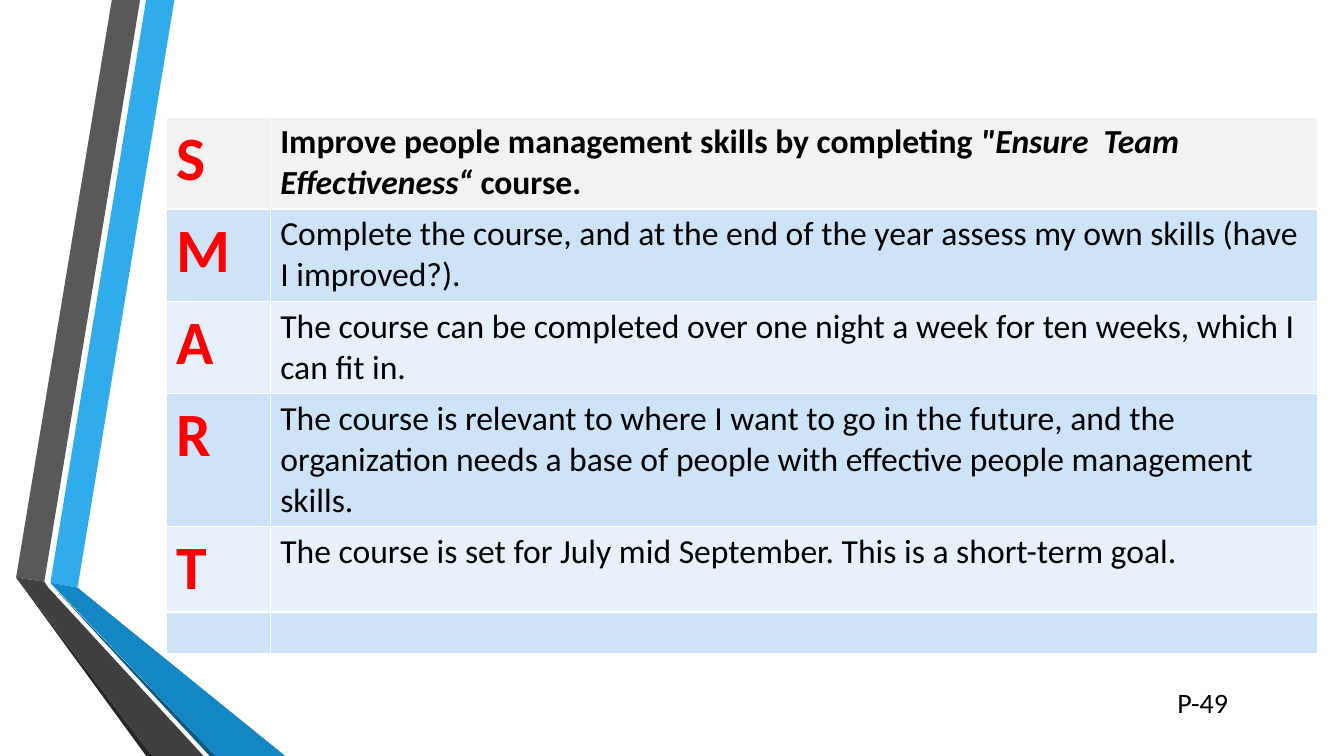
import pptx
import pptx.util
import pptx.dml.color
from dataclasses import dataclass

Inches = pptx.util.Inches


@dataclass(frozen=True)
class Theme:
    font: str = "Calibri"
    ink: str = "000000"
    mark: str = "FF0000"
    head: str = "F2F2F2"
    bands: tuple = ("CDE3F8", "E8F1FB")
    big: int = 44
    body: int = 24
    small: int = 20
    sky: str = "30ACEC"
    blue: str = "1287C3"
    navy: str = "0C5A82"
    gray: str = "595959"
    dark: str = "404040"
    black: str = "262626"


def paint(fill, color):
    fill.solid()
    fill.fore_color.rgb = pptx.dml.color.RGBColor.from_string(color)


def write(par, text, *, font, size, color, bold=False, italic=False):
    run = par.add_run()
    run.text = text
    run.font.name = font
    run.font.size = pptx.util.Pt(size)
    run.font.bold = bold
    run.font.italic = italic
    run.font.color.rgb = pptx.dml.color.RGBColor.from_string(color)


class Maker:
    def __init__(self, slide, theme):
        self.slide = slide
        self.theme = theme

    def ribbon(self, color, points):
        spots = [(Inches(x), Inches(y)) for x, y in points]
        form = self.slide.shapes.build_freeform(*spots[0], scale=1.0)
        form.add_line_segments(spots[1:], close=True)
        shape = form.convert_to_shape()
        shape.shadow.inherit = False
        paint(shape.fill, color)
        shape.line.fill.background()

    def table(self, left, top, widths, rows):
        theme = self.theme
        frame = self.slide.shapes.add_table(
            len(rows), len(widths), Inches(left), Inches(top),
            Inches(sum(widths)), Inches(sum(row[0] for row in rows)))
        grid = frame.table
        for col, width in zip(grid.columns, widths):
            col.width = Inches(width)
        for i, (height, letter, parts) in enumerate(rows):
            grid.rows[i].height = Inches(height)
            for cell in grid.rows[i].cells:
                paint(cell.fill, theme.bands[(i - 1) % 2] if i else theme.head)
            if not letter:
                continue
            write(grid.cell(i, 0).text_frame.paragraphs[0], letter,
                  font=theme.font, size=theme.big, color=theme.mark, bold=True)
            for text, italic in parts:
                write(grid.cell(i, 1).text_frame.paragraphs[0], text,
                      font=theme.font, size=theme.body, color=theme.ink,
                      bold=i == 0, italic=italic)

    def label(self, text, left, top, width, height):
        box = self.slide.shapes.add_textbox(
            Inches(left), Inches(top), Inches(width), Inches(height))
        box.text_frame.word_wrap = True
        write(box.text_frame.paragraphs[0], text, font=self.theme.font,
              size=self.theme.small, color=self.theme.ink)


def main():
    deck = pptx.Presentation()
    deck.slide_width, deck.slide_height = Inches(13.33), Inches(7.5)
    theme = Theme()
    maker = Maker(deck.slides.add_slide(deck.slide_layouts[6]), theme)

    ribbons = [
        (theme.sky, [(0.5, 5.78), (0.77, 5.83), (1.73, 0), (1.45, 0)]),
        (theme.gray, [(1.39, 0), (1.11, 0), (0.16, 5.73), (0.44, 5.77)]),
        (theme.black, [(0.16, 5.73), (1.45, 7.5), (1.51, 7.5)]),
        (theme.navy, [(0.5, 5.79), (2.08, 7.5), (2.14, 7.5)]),
        (theme.blue, [(0.5, 5.78), (2.14, 7.5), (2.83, 7.5), (0.77, 5.83)]),
        (theme.dark, [(2.02, 7.5), (0.48, 5.83), (0.44, 5.77),
                      (0.16, 5.73), (1.51, 7.5)]),
    ]
    for color, points in ribbons:
        maker.ribbon(color, points)

    maker.table(1.65, 1.16, (1.03, 10.39), [
        (0.91, "S", [("Improve people management skills by completing ", False),
                     ('"Ensure  Team Effectiveness“ ', True),
                     ("course.", False)]),
        (0.91, "M", [("Complete the course, and at the end of the year assess "
                      "my own skills (have I improved?).", False)]),
        (0.91, "A", [("The course can be completed over one night a week for "
                      "ten weeks, which I can fit in.", False)]),
        (1.32, "R", [("The course is relevant to where I want to go in the "
                      "future, and the organization needs a base of people "
                      "with effective people management skills.", False)]),
        (0.85, "T", [("The course is set for July mid September. "
                      "This is a short-term goal.", False)]),
        (0.41, "", []),
    ])
    maker.label("P-49", 11.58, 6.75, 1.75, 0.44)
    deck.save("out.pptx")


if __name__ == "__main__":
    main()
